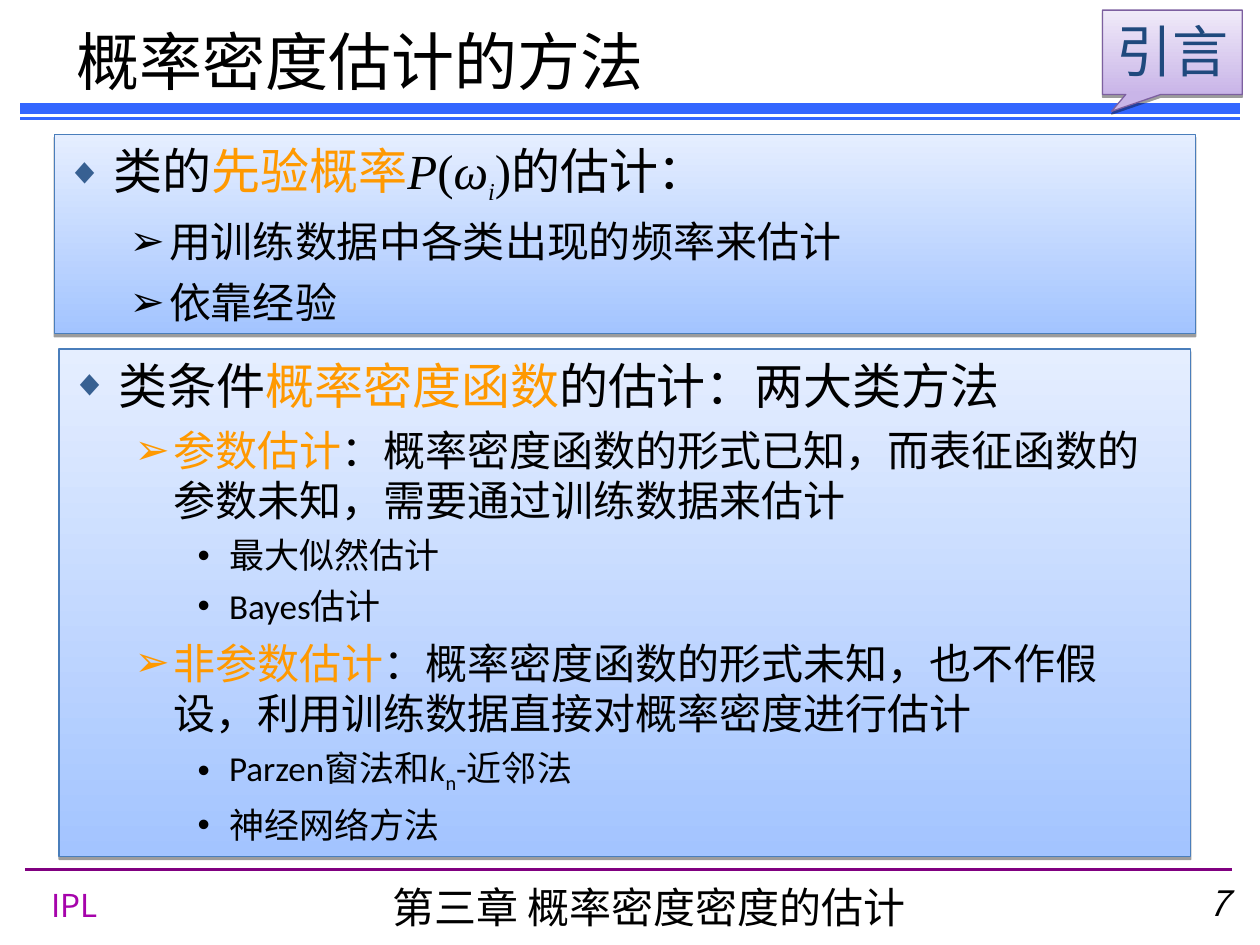
"""Build the slide on methods for estimating probability densities."""
from dataclasses import dataclass
from typing import Any

from lxml import etree
from pptx import Presentation
from pptx import util as u
from pptx.dml.color import RGBColor
from pptx.enum import shapes, text
from pptx.oxml import ns

BLACK = RGBColor(0, 0, 0)
ORANGE = RGBColor(0xFF, 0x99, 0x00)
NAVY = RGBColor(0x1F, 0x49, 0x7D)
DIAMOND_BLUE = RGBColor(0x37, 0x60, 0x92)
RULE_BLUE = RGBColor(0x33, 0x66, 0xFF)
RULE_PURPLE = RGBColor(0x80, 0x00, 0x80)
LAB_PURPLE = RGBColor(0xA6, 0x03, 0xAB)
PANEL_DARK = RGBColor(0xA3, 0xC4, 0xFF)
PANEL_LIGHT = RGBColor(0xE5, 0xEE, 0xFF)
PANEL_EDGE = RGBColor(0x4A, 0x7E, 0xBB)
TAG_DARK = RGBColor(0xC9, 0xB5, 0xE8)
TAG_LIGHT = RGBColor(0xF0, 0xEA, 0xF9)
TAG_EDGE = RGBColor(0x7D, 0x60, 0xA0)

BODY_FONT = "Calibri"
FOOTER_FONT = "Noto Sans CJK SC"
MATH_FONT = "Times New Roman"
BULLET_FONT = "Arial"

LEVELS = [
    dict(size=28, left=27, hang=27, before=7, mark="◆", scale=75),
    dict(size=24, left=58.5, hang=22.5, before=6, mark="➢", scale=100),
    dict(size=20, left=90, hang=18, before=5, mark="•", scale=100),
]


def add_xml(parent, tag, **attributes):
    return etree.SubElement(parent, ns.qn(tag), attributes)


def add_span(para, words, size=24, font=BODY_FONT, color=BLACK, italic=False, baseline=0):
    span = para.add_run()
    span.text = words
    span.font.size = u.Pt(size)
    span.font.name = font
    span.font.italic = italic
    span.font.color.rgb = color
    properties = span.font._element
    add_xml(properties, "a:ea", typeface=font)
    if baseline:
        properties.set("baseline", str(baseline * 1000))


@dataclass
class SlideBuilder:
    """Hold the current slide and the style of its elements."""

    slide: Any
    edge_width: float = 0.75
    shadow_distance: float = 1.6
    shadow_opacity: int = 38

    def rule(self, left, right, y, color, width):
        line = self.slide.shapes.add_connector(
            shapes.MSO_CONNECTOR.STRAIGHT, u.Pt(left), u.Pt(y), u.Pt(right), u.Pt(y))
        line.line.color.rgb = color
        line.line.width = u.Pt(width)
        add_xml(line._element.spPr, "a:effectLst")

    def label(self, place, words, align=text.PP_ALIGN.LEFT,
              anchor=text.MSO_ANCHOR.TOP, **style):
        box = self.slide.shapes.add_textbox(*map(u.Pt, place))
        frame = box.text_frame
        frame.word_wrap = True
        frame.vertical_anchor = anchor
        para = frame.paragraphs[0]
        para.alignment = align
        add_span(para, words, **style)

    def card(self, kind, place, dark, light, edge):
        box = self.slide.shapes.add_shape(kind, *map(u.Pt, place))
        box.fill.gradient()
        box.fill.gradient_angle = 90
        for stop, color in zip(box.fill.gradient_stops, (dark, light)):
            stop.color.rgb = color
        box.line.color.rgb = edge
        box.line.width = u.Pt(self.edge_width)
        box.shadow.inherit = False
        effects = box._element.spPr.find(ns.qn("a:effectLst"))
        shadow = add_xml(effects, "a:outerShdw", blurRad="0", dir="5400000",
                         dist=str(int(u.Pt(self.shadow_distance))), rotWithShape="0")
        shade = add_xml(shadow, "a:srgbClr", val=str(BLACK))
        add_xml(shade, "a:alpha", val=str(self.shadow_opacity * 1000))
        box.text_frame.word_wrap = True
        box.text_frame.vertical_anchor = text.MSO_ANCHOR.TOP
        return box

    def callout(self, place, words, **style):
        box = self.card(shapes.MSO_SHAPE.RECTANGULAR_CALLOUT, place,
                        TAG_DARK, TAG_LIGHT, TAG_EDGE)
        box.adjustments[0], box.adjustments[1] = -0.435, 0.7
        para = box.text_frame.paragraphs[0]
        para.alignment = text.PP_ALIGN.CENTER
        add_span(para, words, **style)

    def bullet(self, para, level, color):
        rule = LEVELS[level]
        properties = para._p.get_or_add_pPr()
        properties.set("marL", str(int(u.Pt(rule["left"]))))
        properties.set("indent", str(-int(u.Pt(rule["hang"]))))
        properties.set("hangingPunct", "0")
        add_xml(add_xml(properties, "a:buClr"), "a:srgbClr", val=str(color))
        add_xml(properties, "a:buSzPct", val=str(rule["scale"] * 1000))
        add_xml(properties, "a:buFont", typeface=BULLET_FONT)
        add_xml(properties, "a:buChar", char=rule["mark"])
        para.level = level
        para.alignment = text.PP_ALIGN.LEFT

    def panel(self, place, items):
        box = self.card(shapes.MSO_SHAPE.RECTANGLE, place,
                        PANEL_DARK, PANEL_LIGHT, PANEL_EDGE)
        frame = box.text_frame
        for index, (level, mark_color, spans) in enumerate(items):
            para = frame.add_paragraph() if index else frame.paragraphs[0]
            self.bullet(para, level, mark_color)
            if index:
                para.space_before = u.Pt(LEVELS[level]["before"])
            for words, style in spans:
                add_span(para, words, **{"size": LEVELS[level]["size"], **style})


def main():
    deck = Presentation()
    deck.slide_width, deck.slide_height = u.Pt(720), u.Pt(540)
    page = SlideBuilder(deck.slides.add_slide(deck.slide_layouts[6]))
    accent = dict(color=ORANGE)
    math = dict(font=MATH_FONT)
    variable = dict(font=MATH_FONT, italic=True)

    page.rule(14.4, 704.2, 496.8, RULE_PURPLE, 1.5)
    page.rule(11.5, 708.5, 67.7, RULE_BLUE, 2)
    page.rule(11.5, 708.5, 61.9, RULE_BLUE, 6)

    page.label((22.3, 502.6, 48, 28), "IPL", size=18, font=FOOTER_FONT, color=LAB_PURPLE)
    page.label((196.6, 500.4, 348.5, 36), "第三章 概率密度密度的估计",
               align=text.PP_ALIGN.CENTER, font=FOOTER_FONT)
    page.label((646.6, 500.4, 61.9, 36.7), "7", size=20, italic=True,
               align=text.PP_ALIGN.RIGHT, font=FOOTER_FONT)
    page.label((36.7, 5.8, 396, 57.6), "概率密度估计的方法", size=36,
               anchor=text.MSO_ANCHOR.MIDDLE)

    page.panel((31, 77, 652.3, 113.8), [
        (0, DIAMOND_BLUE, [("类的", {}), ("先验概率", accent), ("P", variable), ("(", math),
                           ("ω", variable), ("i", dict(variable, size=24, baseline=-25)),
                           (")", math), ("的估计：", {})]),
        (1, BLACK, [("用训练数据中各类出现的频率来估计", {})]),
        (1, BLACK, [("依靠经验", {})]),
    ])
    page.callout((630, 5.8, 79.9, 48.2), "引言", size=32, color=NAVY)
    page.panel((33.8, 199.4, 646.6, 290.2), [
        (0, DIAMOND_BLUE, [("类条件", {}), ("概率密度函数", accent),
                           ("的估计：两大类方法", {})]),
        (1, ORANGE, [("参数估计", accent),
                     ("：概率密度函数的形式已知，而表征函数的参数未知，需要通过训练数据来估计", {})]),
        (2, BLACK, [("最大似然估计", {})]),
        (2, BLACK, [("Bayes估计", {})]),
        (1, ORANGE, [("非参数估计", accent),
                     ("：概率密度函数的形式未知，也不作假设，利用训练数据直接对概率密度进行估计", {})]),
        (2, BLACK, [("Parzen窗法和", {}), ("k", dict(italic=True)),
                    ("n", dict(baseline=-25)), ("-近邻法", {})]),
        (2, BLACK, [("神经网络方法", {})]),
    ])
    deck.save("out.pptx")


if __name__ == "__main__":
    main()
